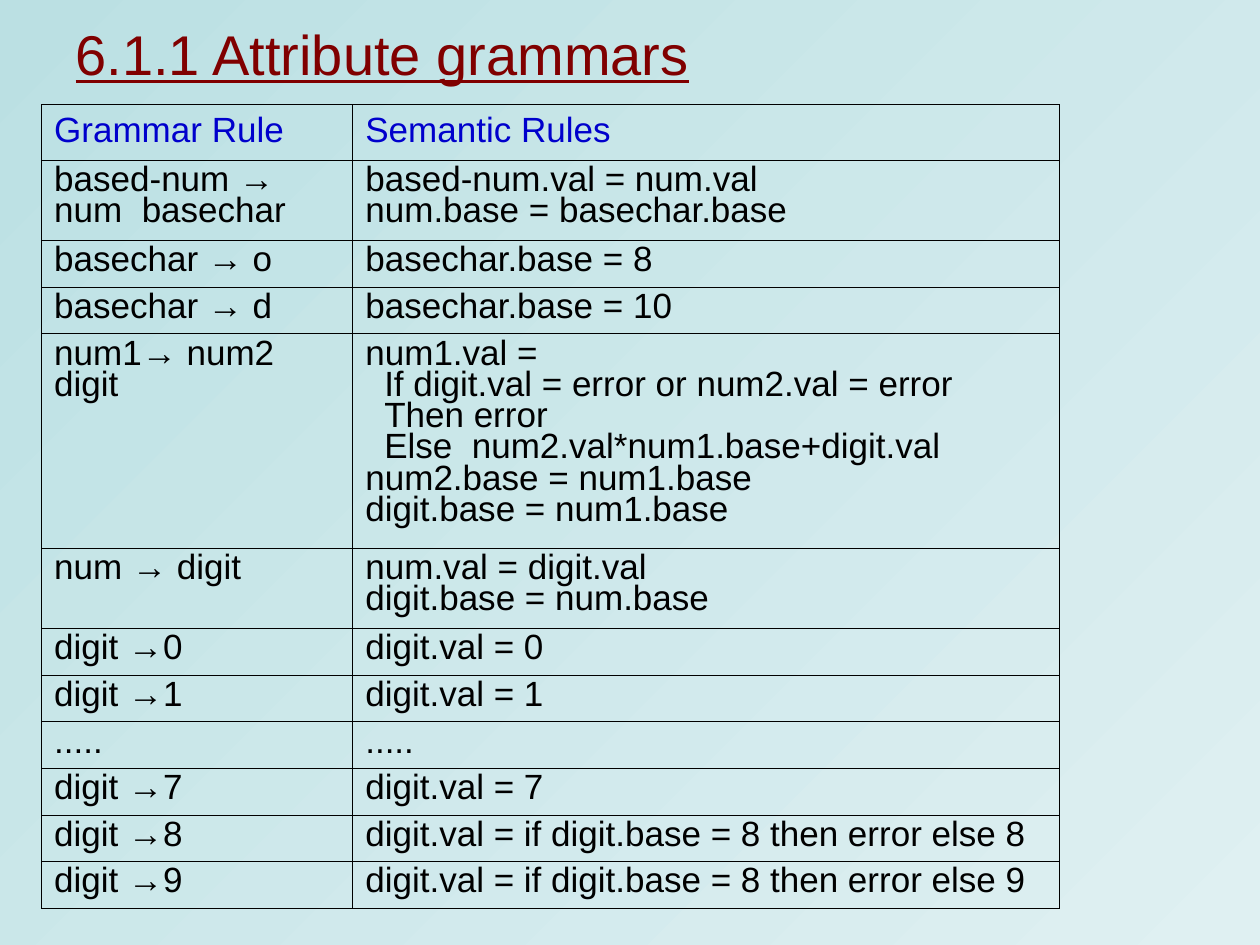
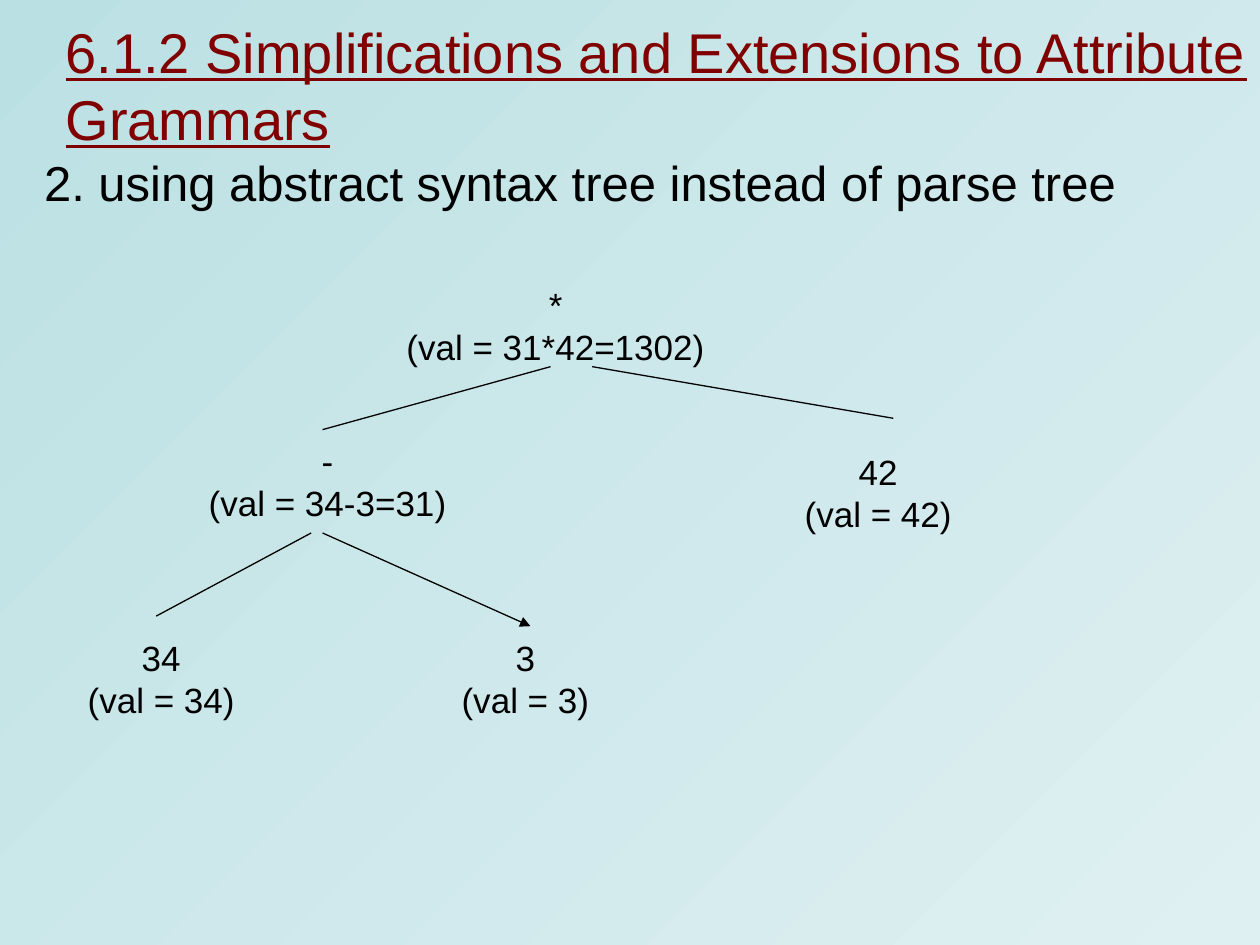
from lxml import etree
from pptx import Presentation
from pptx import util as u
from pptx.dml.color import RGBColor
from pptx.enum import shapes, text
from pptx.oxml import ns

FONT = "Arial"
BLACK = RGBColor(0, 0, 0)
MAROON = RGBColor(0x80, 0, 0)
HEADER_BLUE = RGBColor(0, 0, 0xCC)
BACKGROUND = [RGBColor(0xBB, 0xE0, 0xE3), RGBColor(0xDF, 0xF0, 0xF2)]


def write(frame, lines, size, color, align=text.PP_ALIGN.LEFT, spacing=1.0):
    frame.text = "\n".join(lines)
    for paragraph in frame.paragraphs:
        paragraph.alignment = align
        paragraph.line_spacing = spacing
        paragraph.space_before = u.Pt(0)
        paragraph.font.name = FONT
        paragraph.font.size = u.Pt(size)
        paragraph.font.color.rgb = color


def add_titled_slide(layout, title, left, top, width):
    slide = presentation.slides.add_slide(presentation.slide_layouts[layout])
    shape = slide.shapes.title
    shape.left, shape.top = u.Inches(left), u.Inches(top)
    shape.width, shape.height = u.Inches(width), u.Inches(0.5)
    frame = shape.text_frame
    frame.auto_size = text.MSO_AUTO_SIZE.NONE
    frame.vertical_anchor = text.MSO_ANCHOR.MIDDLE
    write(frame, [title], 32, MAROON)
    frame.paragraphs[0].font.underline = True
    return slide


presentation = Presentation()
presentation.slide_width = u.Inches(10)
presentation.slide_height = u.Inches(7.5)

fill = presentation.slide_master.background.fill
fill.gradient()
fill.gradient_angle = 315
for stop, color in zip(fill.gradient_stops, BACKGROUND):
    stop.color.rgb = color

slide = add_titled_slide(5, "6.1.1 Attribute grammars", 0.5, 0.17, 9.33)

grammar = [
    (0.44, "Grammar Rule", ["Semantic Rules"]),
    (0.64, "based-num → num  basechar",
     ["based-num.val = num.val", "num.base = basechar.base"]),
    (0.37, "basechar → o", ["basechar.base = 8"]),
    (0.37, "basechar → d", ["basechar.base = 10"]),
    (1.7, "num1→ num2  digit",
     ["num1.val =",
      "If digit.val = error or num2.val = error",
      "Then error",
      "Else  num2.val*num1.base+digit.val",
      "num2.base = num1.base",
      "digit.base = num1.base"]),
    (0.64, "num → digit", ["num.val = digit.val", "digit.base = num.base"]),
    (0.37, "digit →0", ["digit.val = 0"]),
    (0.37, "digit →1", ["digit.val = 1"]),
    (0.37, ".....", ["....."]),
    (0.37, "digit →7", ["digit.val = 7"]),
    (0.37, "digit →8", ["digit.val = if digit.base = 8 then error else 8"]),
    (0.37, "digit →9", ["digit.val = if digit.base = 8 then error else 9"]),
]
table = slide.shapes.add_table(
    len(grammar), 2, u.Inches(0.33), u.Inches(0.83), u.Inches(8.08), u.Inches(6.38)
).table
table.first_row = False
table.horz_banding = False
table.columns[0].width = u.Inches(2.47)
table.columns[1].width = u.Inches(5.61)

for row, (height, rule, semantics) in enumerate(grammar):
    table.rows[row].height = u.Inches(height)
    for column, lines in enumerate([[rule], semantics]):
        cell = table.cell(row, column)
        color, spacing = (BLACK, 0.8) if row else (HEADER_BLUE, 1.0)
        write(cell.text_frame, lines, 20, color, spacing=spacing)
        for paragraph in cell.text_frame.paragraphs:
            if paragraph.text.startswith(("If ", "Then ", "Else ")):
                paragraph._p.get_or_add_pPr().set("marL", str(u.Inches(0.15)))
        properties = cell._tc.get_or_add_tcPr()
        for side in ("lnL", "lnR", "lnT", "lnB"):
            border = etree.SubElement(properties, ns.qn("a:" + side), w=str(u.Pt(0.45)))
            solid = etree.SubElement(border, ns.qn("a:solidFill"))
            etree.SubElement(solid, ns.qn("a:srgbClr"), val=str(BLACK))
        cell.fill.background()

slide = add_titled_slide(
    1, "6.1.2 Simplifications and Extensions to Attribute Grammars", 0.42, 0.42, 10)

body = slide.placeholders[1]
body.left, body.top = u.Inches(0.25), u.Inches(1.25)
body.width, body.height = u.Inches(9.5), u.Inches(0.5)
body.text_frame.auto_size = text.MSO_AUTO_SIZE.NONE
write(body.text_frame, ["2. using abstract syntax tree instead of parse tree"],
      28, BLACK, text.PP_ALIGN.JUSTIFY, 0.8)
paragraph = body.text_frame.paragraphs[0]
paragraph.space_before = u.Pt(7)
properties = paragraph._p.get_or_add_pPr()
properties.set("marL", "0")
properties.set("indent", "0")
etree.SubElement(properties, ns.qn("a:buNone"))

tree = slide.shapes.add_group_shape().shapes
nodes = [
    (3.13, 2.17, "*", "(val = 31*42=1302)"),
    (1.32, 3.41, "-", "(val = 34-3=31)"),
    (5.69, 3.49, "42", "(val = 42)"),
    (0, 4.97, "34", "(val = 34)"),
    (2.89, 4.97, "3", "(val = 3)"),
]
for left, top, symbol, value in nodes:
    node = tree.add_textbox(u.Inches(left), u.Inches(top), u.Inches(2.56), u.Inches(0.83))
    frame = node.text_frame
    frame.word_wrap = False
    frame.margin_left = frame.margin_right = 0
    frame.vertical_anchor = text.MSO_ANCHOR.MIDDLE
    write(frame, [symbol, value], 20, BLACK, text.PP_ALIGN.CENTER)

branches = [
    (4.37, 2.91, 2.56, 3.41, False),
    (4.7, 2.91, 7.09, 3.32, False),
    (2.47, 4.23, 1.24, 4.89, False),
    (2.56, 4.23, 4.21, 4.97, True),
]
for *ends, has_arrow in branches:
    branch = tree.add_connector(
        shapes.MSO_CONNECTOR.STRAIGHT, *[u.Inches(end) for end in ends])
    branch.line.color.rgb = BLACK
    branch.line.width = u.Pt(0.75)
    if has_arrow:
        etree.SubElement(branch.line._get_or_add_ln(), ns.qn("a:tailEnd"), type="triangle")
    etree.SubElement(branch._element.spPr, ns.qn("a:effectLst"))

presentation.save("out.pptx")
